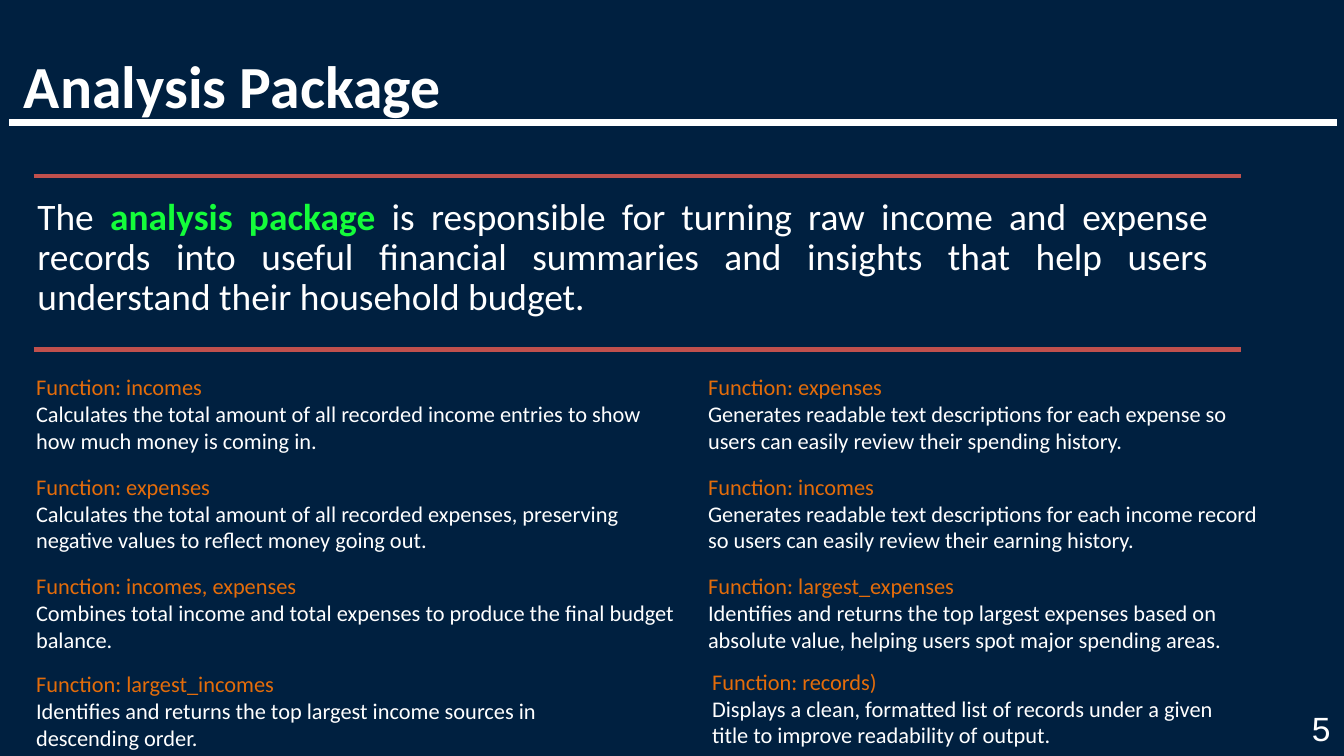
from dataclasses import dataclass

from lxml.etree import SubElement
from pptx import Presentation
from pptx.dml.color import RGBColor
from pptx.enum.shapes import MSO_CONNECTOR
from pptx.enum.text import MSO_ANCHOR, MSO_AUTO_SIZE, PP_ALIGN
from pptx.oxml.ns import qn
from pptx.util import Inches, Pt

NAVY, WHITE, GREEN = "002040", "FFFFFF", "14FD3A"
RED, ORANGE = "C0504D", "E46C0A"


@dataclass
class Rule:
    left: float
    right: float
    y: float
    color: str
    weight: float


@dataclass
class FunctionBlock:
    left: float
    top: float
    width: float
    height: float
    entries: list[tuple[str, str]]


RULES = [
    Rule(0.07, 9.95, 0.91, WHITE, 3.75),
    Rule(0.25, 9.23, 1.31, RED, 2.25),
    Rule(0.25, 9.23, 2.6, RED, 2.25),
]

FUNCTION_BLOCKS = [
    FunctionBlock(0.17, 2.73, 5, 2.2, [
        ("incomes", "Calculates the total amount of all recorded income entries "
                    "to show how much money is coming in."),
        ("expenses", "Calculates the total amount of all recorded expenses, "
                     "preserving negative values to reflect money going out."),
        ("incomes, expenses", "Combines total income and total expenses to produce "
                              "the final budget balance."),
    ]),
    FunctionBlock(5.17, 2.73, 4.44, 2.2, [
        ("expenses", "Generates readable text descriptions for each expense so "
                     "users can easily review their spending history."),
        ("incomes", "Generates readable text descriptions for each income record "
                    "so users can easily review their earning history."),
        ("largest_expenses", "Identifies and returns the top largest expenses based on "
                             "absolute value, helping users spot major spending areas."),
    ]),
    FunctionBlock(0.17, 4.94, 4.72, 0.71, [
        ("largest_incomes", "Identifies and returns the top largest income sources "
                            "in descending order."),
    ]),
    FunctionBlock(5.2, 4.92, 4.22, 0.71, [
        ("records)", "Displays a clean, formatted list of records under a given "
                     "title to improve readability of output."),
    ]),
]


def rgb(color: str) -> RGBColor:
    return RGBColor.from_string(color)


def style_run(run, size: float, color: str, bold: bool = False,
              font: str = "Calibri") -> None:
    run.font.name = font
    run.font.size = Pt(size)
    run.font.bold = bold
    run.font.color.rgb = rgb(color)


def add_text_frame(slide, left: float, top: float, width: float, height: float):
    box = slide.shapes.add_textbox(Inches(left), Inches(top),
                                   Inches(width), Inches(height))
    box.text_frame.word_wrap = True
    return box.text_frame


def draw_rule(slide, rule: Rule) -> None:
    line = slide.shapes.add_connector(
        MSO_CONNECTOR.STRAIGHT, Inches(rule.left), Inches(rule.y),
        Inches(rule.right), Inches(rule.y))
    line.line.color.rgb = rgb(rule.color)
    line.line.width = Pt(rule.weight)
    SubElement(line._element.spPr, qn("a:effectLst"))


def draw_title(slide, title: str) -> None:
    frame = add_text_frame(slide, 0.08, 0, 9.83, 0.9)
    frame.margin_top = frame.margin_bottom = 0
    frame.vertical_anchor = MSO_ANCHOR.BOTTOM
    frame.text = title
    heading = frame.paragraphs[0]
    heading.line_spacing = 0.89
    style_run(heading.runs[0], 32, WHITE, bold=True)


def draw_summary(slide, parts: list[tuple[str, str, bool]]) -> None:
    frame = add_text_frame(slide, 0.08, 1.43, 9.01, 1.2)
    summary = frame.paragraphs[0]
    summary.alignment = PP_ALIGN.JUSTIFY
    summary.line_spacing = 0.89
    summary.space_before = Pt(10)
    summary._p.get_or_add_pPr().set("marL", str(Inches(0.1)))
    for wording, color, bold in parts:
        run = summary.add_run()
        run.text = wording
        style_run(run, 20, color, bold)


def draw_function_block(slide, block: FunctionBlock) -> None:
    frame = add_text_frame(slide, block.left, block.top, block.width, block.height)
    frame.auto_size = MSO_AUTO_SIZE.SHAPE_TO_FIT_TEXT
    frame.text = "\n".join(f"Function: {name}\n{purpose}"
                           for name, purpose in block.entries)
    for heading in frame.paragraphs[::2]:
        style_run(heading.runs[0], 12, ORANGE)
    for purpose in frame.paragraphs[1::2]:
        purpose.space_after = Pt(10)
        style_run(purpose.runs[0], 12, WHITE)


def draw_page_number(slide, number: str) -> None:
    frame = add_text_frame(slide, 9.57, 5.27, 0.33, 0.21)
    frame.margin_left = frame.margin_right = 0
    frame.margin_top = frame.margin_bottom = 0
    frame.text = number
    frame.paragraphs[0].alignment = PP_ALIGN.RIGHT
    style_run(frame.paragraphs[0].runs[0], 18, WHITE, font="Arial")


def main() -> None:
    # Widescreen 16:9 slide
    deck = Presentation()
    deck.slide_width = Inches(10)
    deck.slide_height = Inches(10 * 9 / 16)
    slide = deck.slides.add_slide(deck.slide_layouts[6])
    slide.background.fill.solid()
    slide.background.fill.fore_color.rgb = rgb(NAVY)

    # Header and dividing rules
    for rule in RULES:
        draw_rule(slide, rule)
    draw_page_number(slide, "5")
    draw_title(slide, "Analysis Package")

    # Package summary
    draw_summary(slide, [
        ("The ", WHITE, False),
        ("analysis package ", GREEN, True),
        ("is responsible for turning raw income and expense records into useful "
         "financial summaries and insights that help users understand their "
         "household budget.", WHITE, False),
    ])

    # Function descriptions
    for block in FUNCTION_BLOCKS:
        draw_function_block(slide, block)

    deck.save("out.pptx")


if __name__ == "__main__":
    main()
